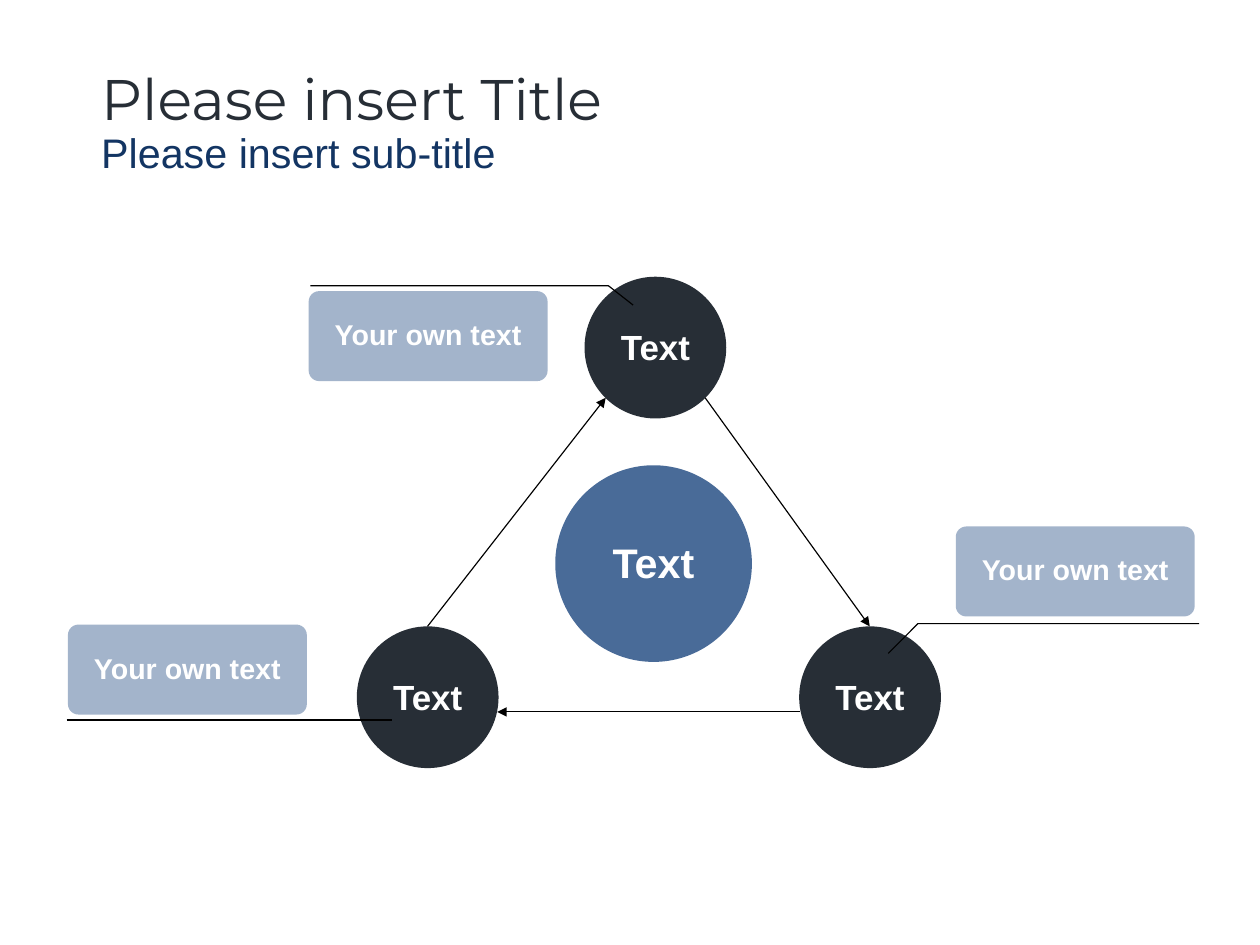
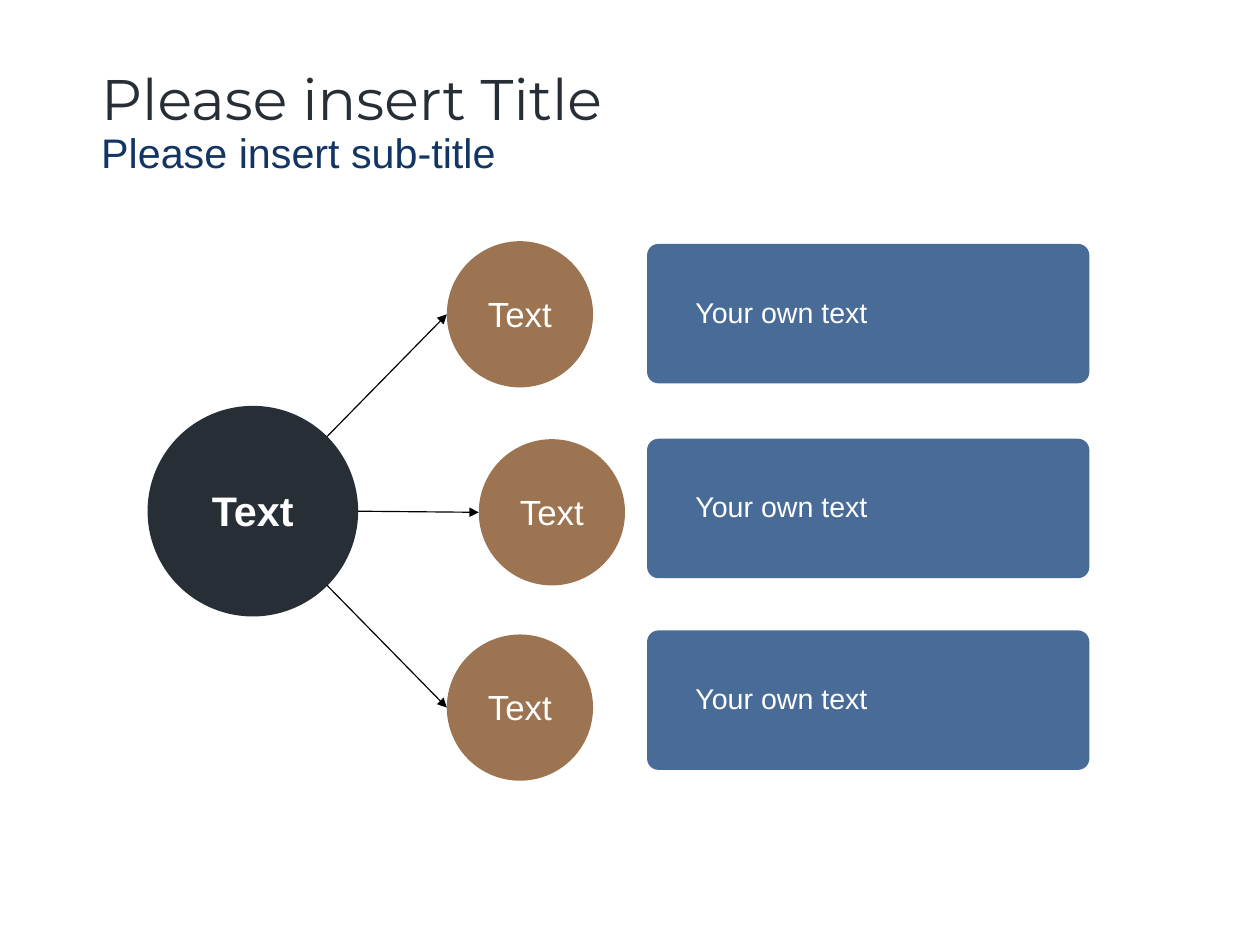
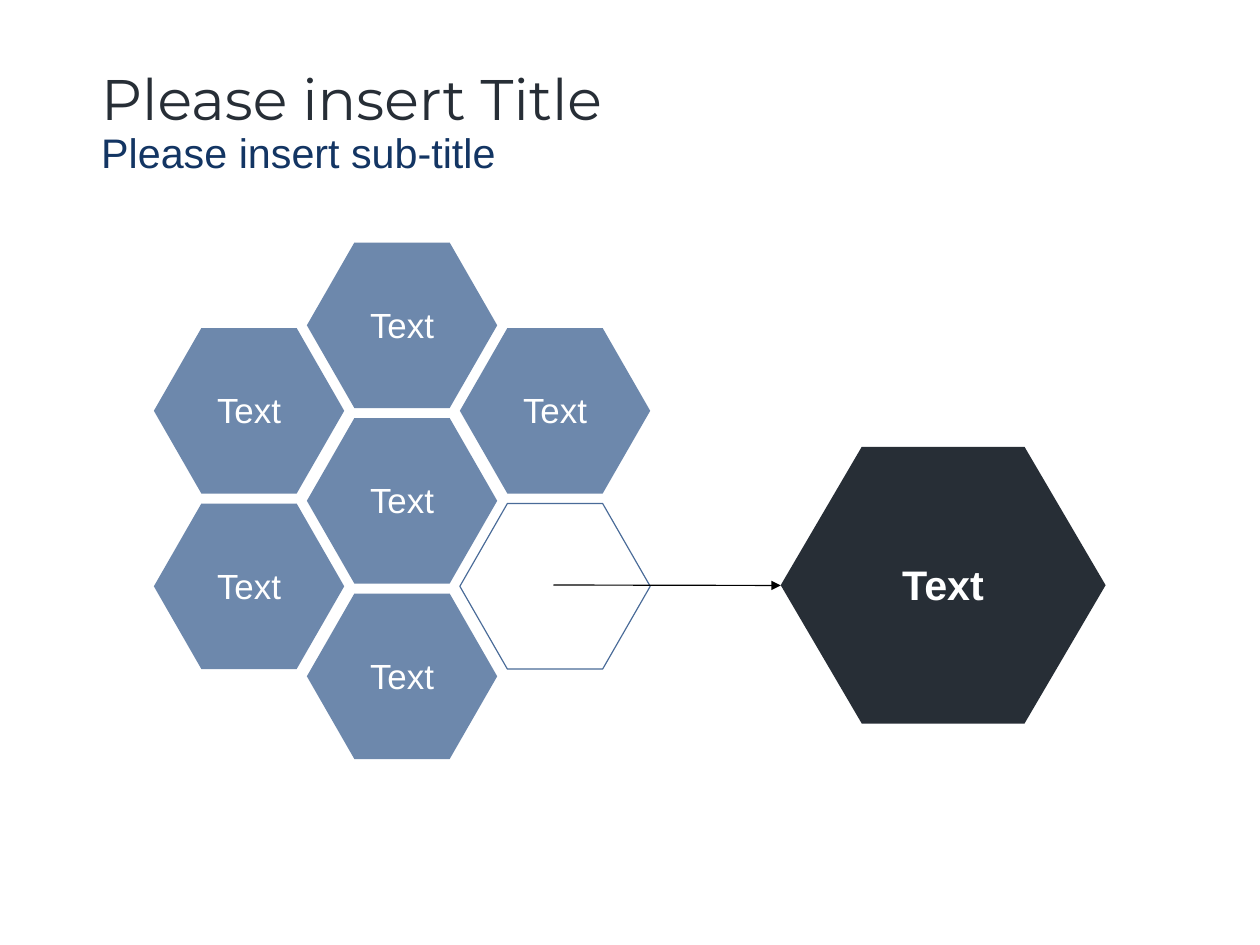
from pptx import Presentation
from pptx.dml.color import RGBColor
from pptx.enum.shapes import MSO_CONNECTOR, MSO_SHAPE
from pptx.enum.text import MSO_ANCHOR, PP_ALIGN
from pptx.oxml.ns import qn
from pptx.util import Cm, Pt
from lxml.etree import SubElement

DARK, BLUE, BROWN, NAVY = "272E36", "496B98", "9C7451", "133563"
WHITE, BLACK = "FFFFFF", "000000"
OVAL, HEX, BOX = MSO_SHAPE.OVAL, MSO_SHAPE.HEXAGON, MSO_SHAPE.ROUNDED_RECTANGLE


def add_node(slide, kind, left, top, width, height, fill, size, bold=False,
             text="Text", alpha=100, adjust=None, indent=None):
    """Add a filled shape with white text; an indent aligns the text left."""
    node = slide.shapes.add_shape(kind, Cm(left), Cm(top), Cm(width), Cm(height))
    node.shadow.inherit = False
    node.line.fill.background()
    node.fill.solid()
    node.fill.fore_color.rgb = RGBColor.from_string(fill)
    if alpha < 100:
        color = node.fill._xPr.find(".//" + qn("a:srgbClr"))
        SubElement(color, qn("a:alpha")).set("val", str(alpha * 1000))
    if adjust is not None:
        node.adjustments[0] = adjust

    frame = node.text_frame
    frame.word_wrap = True
    frame.vertical_anchor = MSO_ANCHOR.MIDDLE
    frame.margin_top = Cm(0.13 if kind == BOX else 0.18)
    frame.margin_bottom = Cm(0.13)
    frame.margin_left = Cm(indent or 0.25)
    para = frame.paragraphs[0]
    para.alignment = PP_ALIGN.LEFT if indent else PP_ALIGN.CENTER
    para.line_spacing = 0.93
    run = para.add_run()
    run.text = text
    run.font.name, run.font.size, run.font.bold = "Arial", Pt(size), bold
    run.font.color.rgb = RGBColor.from_string(WHITE)


def add_line(slide, x1, y1, x2, y2, arrow=True):
    line = slide.shapes.add_connector(
        MSO_CONNECTOR.STRAIGHT, Cm(x1), Cm(y1), Cm(x2), Cm(y2))
    line.line.width = Pt(0.75)
    line.line.color.rgb = RGBColor.from_string(BLACK)
    if arrow:
        SubElement(line.line._get_or_add_ln(), qn("a:tailEnd")).set("type", "triangle")
    SubElement(line._element.spPr, qn("a:effectLst"))


deck = Presentation()
deck.slide_width, deck.slide_height = Cm(28), Cm(21)

# Titles shared by all slides
titles = [("Please insert Title", "Montserrat", 36, DARK, 1.18),
          ("Please insert sub-title", "Arial", 26, NAVY, 0.93)]
slides = []
for _ in range(3):
    slide = deck.slides.add_slide(deck.slide_layouts[6])
    slides.append(slide)
    frame = slide.shapes.add_textbox(Cm(2), Cm(1), Cm(24.3), Cm(3.07)).text_frame
    frame.word_wrap = True
    for row, (text, font, size, color, space) in enumerate(titles):
        para = frame.add_paragraph() if row else frame.paragraphs[0]
        para.line_spacing = space
        run = para.add_run()
        run.text = text
        run.font.name, run.font.size = font, Pt(size)
        run.font.color.rgb = RGBColor.from_string(color)
cycle, tree, comb = slides

# Cycle of three circles with callouts
add_node(cycle, OVAL, 12.34, 10.34, 4.37, 4.37, BLUE, 26, bold=True)
for left, top in [(12.99, 6.15), (17.76, 13.92), (7.93, 13.92)]:
    add_node(cycle, OVAL, left, top, 3.15, 3.15, DARK, 22, bold=True)
for ends in [(9.5, 13.92, 13.46, 8.84), (15.67, 8.84, 19.33, 13.92),
             (17.78, 15.82, 11.05, 15.82)]:
    add_line(cycle, *ends)
for left, top in [(6.86, 6.47), (21.24, 11.7), (1.51, 13.88)]:
    add_node(cycle, BOX, left, top, 5.31, 2, BLUE, 18, bold=True,
             text="Your own text", alpha=50, adjust=0.117)
add_line(cycle, 1.48, 16, 8.71, 16, arrow=False)
for start, bend, end in [((14.07, 6.78), (13.52, 6.35), (6.9, 6.35)),
                         ((19.74, 14.52), (20.4, 13.86), (26.65, 13.86))]:
    path = cycle.shapes.build_freeform(Cm(start[0]), Cm(start[1]))
    path.add_line_segments([(Cm(x), Cm(y)) for x, y in (bend, end)], close=False)
    leader = path.convert_to_shape()
    leader.shadow.inherit = False
    leader.fill.background()
    leader.line.width = Pt(0.75)
    leader.line.color.rgb = RGBColor.from_string(BLACK)

# Tree from one circle to three branches
add_node(tree, OVAL, 3.28, 9.02, 4.68, 4.68, DARK, 26, bold=True)
branches = [(9.93, 5.36, 5.42, 7.27, 9.7),
            (10.64, 9.76, 9.75, 7.96, 11.36),
            (9.93, 14.1, 14.01, 7.27, 13.01)]
for left, top, box_top, x, y in branches:
    add_node(tree, OVAL, left, top, 3.25, 3.25, BROWN, 22)
    add_node(tree, BOX, 14.38, box_top, 9.83, 3.1, BLUE, 18,
             text="Your own text", adjust=0.082, indent=1)
    add_line(tree, x, y, left, top + 3.25 / 2)

# Honeycomb: the side columns sit half a cell lower
for col, count in enumerate([2, 3, 2]):
    for row in range(count):
        left = 3.42 + 3.4 * col
        top = 5.39 + 3.9 * row + (0 if col == 1 else 1.9)
        if (col, row) != (2, 1):
            add_node(comb, HEX, left, top, 4.23, 3.68, BLUE, 22,
                     alpha=80, adjust=0.287)
            continue
        gap = comb.shapes.add_shape(HEX, Cm(left), Cm(top), Cm(4.23), Cm(3.68))
        gap.shadow.inherit = False
        gap.adjustments[0] = 0.287
        gap.fill.background()
        gap.line.width = Pt(0.75)
        gap.line.color.rgb = RGBColor.from_string(BLUE)
add_node(comb, HEX, 17.35, 9.93, 7.22, 6.15, DARK, 26, bold=True, adjust=0.293)
add_line(comb, 12.3, 13, 17.35, 13.01)

deck.save("out.pptx")
